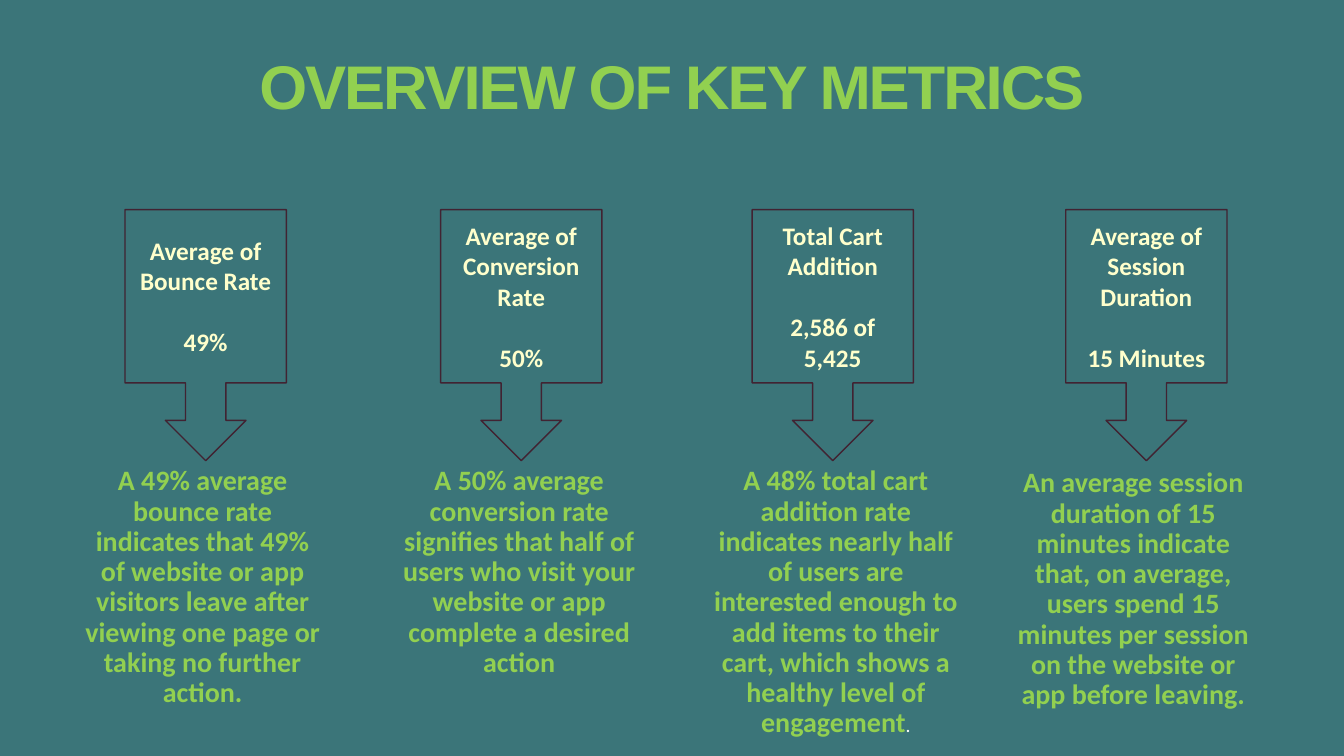
from dataclasses import dataclass

import pptx
import pptx.dml.color
import pptx.enum.shapes
import pptx.enum.text
import pptx.util

Inches = pptx.util.Inches
Pt = pptx.util.Pt
PP_ALIGN = pptx.enum.text.PP_ALIGN
ANCHOR = pptx.enum.text.MSO_ANCHOR

TEAL, GREEN, CREAM, PLUM, WHITE = "3B7579", "92D050", "FFFFCC", "412332", "FFFFFF"

TITLE = {"name": "Arial", "size": Pt(44), "bold": True}
NOTE = {"name": "Calibri", "size": Pt(20), "bold": True}
NOTE_END = {"name": "Calibri", "size": Pt(14), "bold": False}
METRIC = {"name": "Calibri", "size": Pt(18), "bold": True}

CALLOUT_TOP, CALLOUT_W, CALLOUT_H = 2.08, 1.6, 2.49
CALLOUT_ADJUSTMENTS = (0.25, 0.25, 0.25, 0.69)
NOTE_BOTTOM = 7.36
VALUE_GAP = Pt(22)


@dataclass
class Metric:
    label: str
    value: str
    callout_left: float
    note: str
    note_left: float
    note_top: float = 4.58
    note_width: float = 2.7
    note_end: str = ""


METRICS = [
    Metric("Average of Bounce Rate", "49%", 1.24,
           "A 49% average bounce rate indicates that 49% of website or app visitors "
           "leave after viewing one page or taking no further action.",
           0.73, note_width=2.56),
    Metric("Average of Conversion Rate", "50%", 4.37,
           "A 50% average conversion rate signifies that half of users who visit your "
           "website or app complete a desired action",
           3.8),
    Metric("Total Cart Addition", "2,586 of 5,425", 7.46,
           "A 48% total cart addition rate indicates nearly half of users are interested "
           "enough to add items to their cart, which shows a healthy level of engagement",
           6.94, note_end="."),
    Metric("Average of Session Duration", "15 Minutes", 10.57,
           "An average session duration of 15 minutes indicate that, on average, users "
           "spend 15 minutes per session on the website or app before leaving.",
           9.89, note_top=4.6),
]


def rgb(value: str) -> pptx.dml.color.RGBColor:
    return pptx.dml.color.RGBColor.from_string(value)


def add_run(p, text: str, style: dict, color: str):
    r = p.add_run()
    r.text = text
    for key, value in style.items():
        setattr(r.font, key, value)
    r.font.color.rgb = rgb(color)
    return r


def add_text_box(slide, left: float, top: float, width: float, height: float, anchor):
    """Add a wrapping text box and return its centred first paragraph."""
    sp = slide.shapes.add_textbox(Inches(left), Inches(top), Inches(width), Inches(height))
    tf = sp.text_frame
    tf.word_wrap = True
    tf.vertical_anchor = anchor
    p = tf.paragraphs[0]
    p.alignment = PP_ALIGN.CENTER
    p.line_spacing = 0.9
    return p


def add_title(slide, text: str) -> None:
    p = add_text_box(slide, 0.78, 0.39, 11.77, 0.88, ANCHOR.BOTTOM)
    r = add_run(p, text, TITLE, GREEN)
    r.font._element.set("spc", "-150")


def add_note(slide, m: Metric) -> None:
    p = add_text_box(slide, m.note_left, m.note_top, m.note_width,
                     NOTE_BOTTOM - m.note_top, ANCHOR.TOP)
    add_run(p, m.note, NOTE, GREEN)
    if m.note_end:
        add_run(p, m.note_end, NOTE_END, WHITE)


def add_callout(slide, m: Metric) -> None:
    sp = slide.shapes.add_shape(
        pptx.enum.shapes.MSO_SHAPE.DOWN_ARROW_CALLOUT,
        Inches(m.callout_left), Inches(CALLOUT_TOP), Inches(CALLOUT_W), Inches(CALLOUT_H))
    for i, value in enumerate(CALLOUT_ADJUSTMENTS):
        sp.adjustments[i] = value
    sp.shadow.inherit = False
    sp.fill.solid()
    sp.fill.fore_color.rgb = rgb(TEAL)
    sp.line.color.rgb = rgb(PLUM)
    sp.line.width = Pt(1)
    tf = sp.text_frame
    tf.word_wrap = True
    tf.vertical_anchor = ANCHOR.MIDDLE
    label, value = tf.paragraphs[0], tf.add_paragraph()
    value.space_before = VALUE_GAP
    for p, text in ((label, m.label), (value, m.value)):
        p.alignment = PP_ALIGN.CENTER
        add_run(p, text, METRIC, CREAM)


def main() -> None:
    prs = pptx.Presentation()
    prs.slide_width, prs.slide_height = Inches(13.33), Inches(7.5)
    slide = prs.slides.add_slide(prs.slide_layouts[6])
    slide.background.fill.solid()
    slide.background.fill.fore_color.rgb = rgb(TEAL)
    add_title(slide, "OVERVIEW OF KEY METRICS")
    for m in METRICS:
        add_note(slide, m)
        add_callout(slide, m)
    prs.save("out.pptx")


if __name__ == "__main__":
    main()
